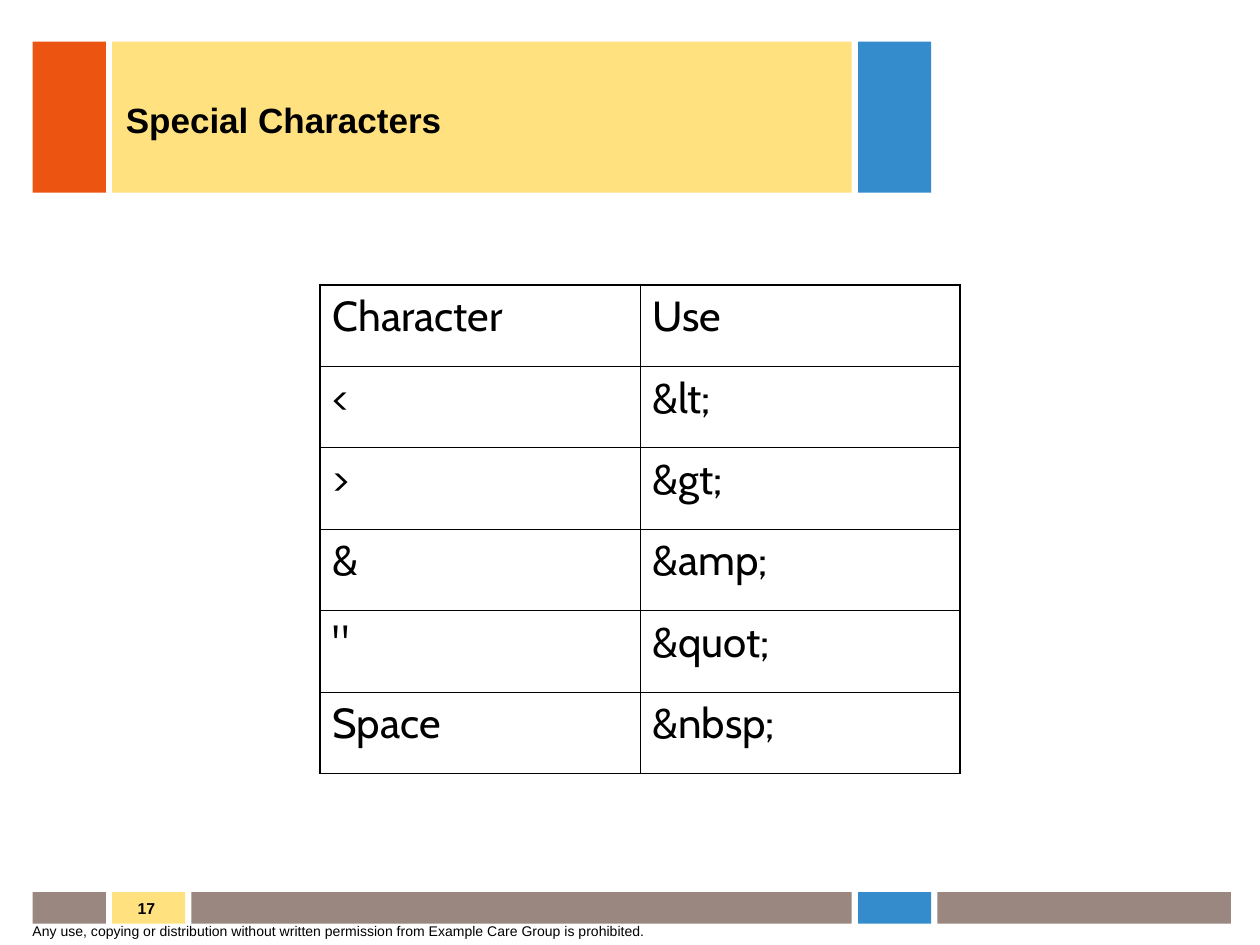
from lxml.etree import SubElement
from pptx import Presentation
from pptx.dml.color import RGBColor
from pptx.enum.shapes import MSO_SHAPE as Shape
from pptx.enum.text import MSO_ANCHOR as Anchor, PP_ALIGN as Align
from pptx.oxml.ns import qn
from pptx.util import Inches, Pt

BLACK, WHITE = "000000", "FFFFFF"
ORANGE, YELLOW, BLUE, TAUPE = "EB5411", "FFE180", "348CCC", "998780"
GAP = 0.05
THIN, THICK = 0.45, 1.08
ROWS = [
    ("Character", "Use"),
    ("<", "&lt;"),
    (">", "&gt;"),
    ("&", "&amp;"),
    ('"', "&quot;"),
    ("Space", "&nbsp;"),
]


def color(code):
    """Turn a hex string into a colour."""
    return RGBColor.from_string(code)


def write(frame, words, size, face="Arial", bold=False, align=Align.LEFT):
    """Add one run of text to the first paragraph of a frame."""
    para = frame.paragraphs[0]
    para.alignment = align
    run = para.add_run()
    run.text = words
    font = run.font
    font.name, font.size, font.bold = face, Pt(size), bold
    font.color.rgb = color(BLACK)


def label(slide, box, words, size, anchor=Anchor.TOP, **style):
    """Place a wrapped text box."""
    frame = slide.shapes.add_textbox(*map(Inches, box)).text_frame
    frame.word_wrap = True
    frame.vertical_anchor = anchor
    write(frame, words, size, **style)


def band(slide, left, top, height, blocks):
    """Lay coloured blocks side by side with equal gaps."""
    for width, fill in blocks:
        box = map(Inches, (left, top, width, height))
        block = slide.shapes.add_shape(Shape.RECTANGLE, *box)
        block.shadow.inherit = False
        block.fill.solid()
        block.fill.fore_color.rgb = color(fill)
        block.line.fill.background()
        left += width + GAP


def header(slide, left, top, height):
    """Draw the title band."""
    band(slide, left, top, height,
         [(0.58, ORANGE), (5.87, YELLOW), (0.58, BLUE)])
    label(slide, (left + 0.64, top + 0.02, 5.85, height), "Special Characters",
          20, Anchor.MIDDLE, bold=True)


def footer(slide, left, top, height):
    """Draw the bottom band with the page number and the notice."""
    band(slide, left, top, height,
         [(0.58, TAUPE), (0.58, YELLOW), (5.24, TAUPE),
          (0.58, BLUE), (2.33, TAUPE)])
    label(slide, (left + 0.63, top, 0.44, height), "17", 9,
          bold=True, align=Align.RIGHT)
    label(slide, (left - 0.1, top + 0.19, 6.47, 0.23),
          "Any use, copying or distribution without written permission "
          "from Example Care Group is prohibited.", 8)


def border(cell, edges):
    """Rule the four sides of a cell, thick on the outer edges."""
    props = cell._tc.get_or_add_tcPr()
    for spot, (side, outer) in enumerate(edges.items()):
        width = Pt(THICK if outer else THIN)
        line = props.makeelement(qn("a:ln" + side), {"w": str(width)})
        fill = SubElement(line, qn("a:solidFill"))
        SubElement(fill, qn("a:srgbClr"), val=BLACK)
        props.insert(spot, line)


def grid(slide, left, top, width, height):
    """Build the table of characters and their codes."""
    count, wide = len(ROWS), len(ROWS[0])
    box = map(Inches, (left, top, width, height))
    table = slide.shapes.add_table(count, wide, *box).table
    table.first_row = table.horz_banding = False
    for r, row in enumerate(ROWS):
        for c, words in enumerate(row):
            cell = table.cell(r, c)
            cell.fill.background()
            border(cell, {"L": c == 0, "R": c == wide - 1,
                          "T": r == 0, "B": r == count - 1})
            write(cell.text_frame, words, 24, "Cabin")


def main():
    """Build and save the slide."""
    deck = Presentation()
    deck.slide_width, deck.slide_height = Inches(10), Inches(7.5)
    slide = deck.slides.add_slide(deck.slide_layouts[6])
    slide.background.fill.solid()
    slide.background.fill.fore_color.rgb = color(WHITE)
    header(slide, 0.26, 0.33, 1.2)
    footer(slide, 0.26, 7.08, 0.25)
    grid(slide, 2.54, 2.26, 5.08, 3.88)
    deck.save("out.pptx")


if __name__ == "__main__":
    main()
